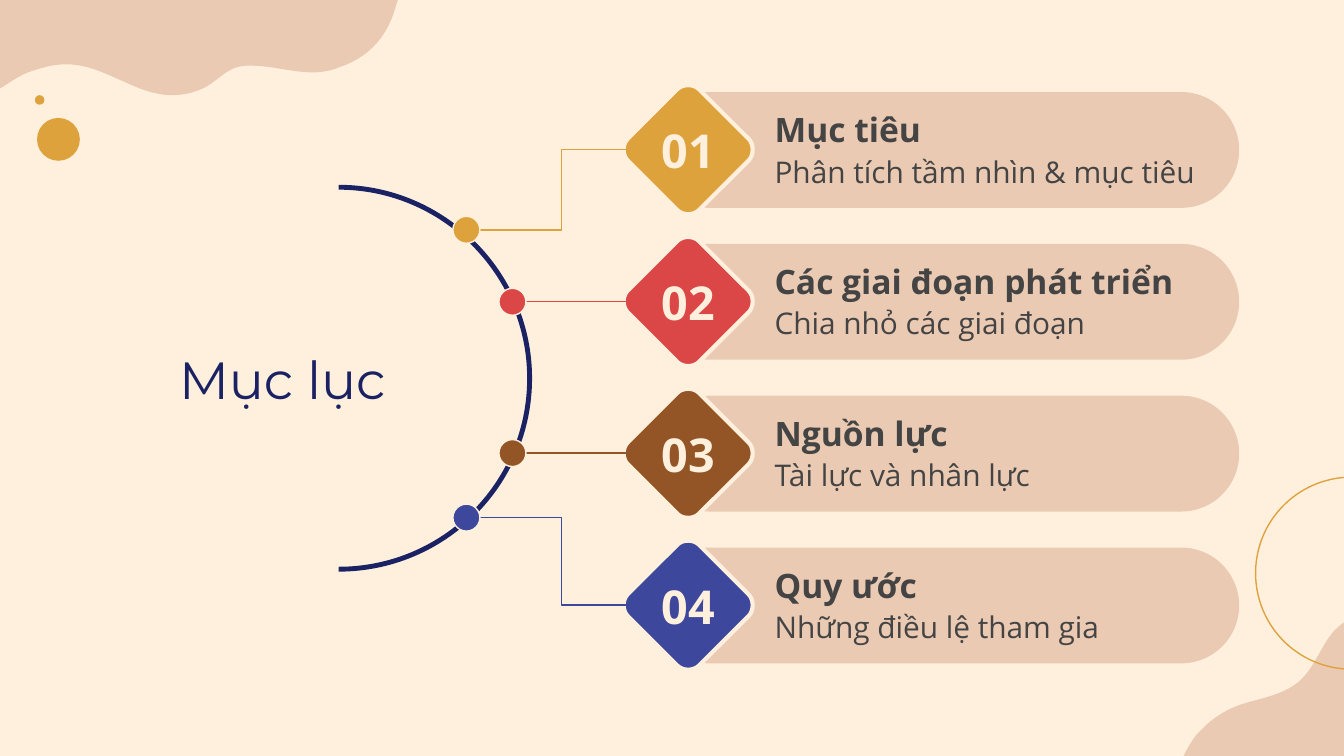
from collections import namedtuple
from dataclasses import dataclass

from lxml import etree
from pptx import Presentation
from pptx.dml.color import RGBColor
from pptx.enum import shapes, text
from pptx.oxml import ns
from pptx.util import Cm, Pt

Box = namedtuple("Box", "x y w h")
Outline = namedtuple("Outline", "w h start segments")


@dataclass(frozen=True)
class Theme:
    """Colours, fonts and type sizes of the deck."""
    cream: str = "FFF0DE"
    sand: str = "EBCAB3"
    gold: str = "DEA23C"
    red: str = "DB4646"
    brown: str = "945526"
    blue: str = "3D489C"
    navy: str = "1A2263"
    grey: str = "444444"
    title_font: str = "Montserrat"
    font: str = "Open Sans"
    title: int = 28
    number: int = 25
    heading: int = 18
    detail: int = 16


THEME = Theme()

TOP_BLOB = Outline(296, 71, (0, 0), [
    (0, 66), (7, 62, 13, 57, 21, 54), (32, 50, 41, 48, 49, 48),
    (68, 48, 82, 57, 104, 66), (112, 69, 120, 71, 128, 71),
    (137, 71, 145, 69, 153, 65), (165, 58, 170, 49, 185, 49),
    (186, 49, 186, 49, 186, 49), (203, 49, 217, 54, 233, 54),
    (239, 54, 246, 53, 253, 50), (276, 42, 289, 26, 295, 3),
    (295, 2, 296, 1, 296, 0)])
BOTTOM_BLOB = Outline(170, 164, (23, 88), [
    (24, 87, 25, 86, 26, 85), (34, 76, 45, 69, 57, 65),
    (69, 61, 83, 59, 94, 52), (108, 44, 113, 28, 122, 15),
    (127, 8, 135, 1, 144, 0), (163, -2, 170, 16, 170, 32),
    (170, 51, 161, 69, 152, 86), (144, 101, 133, 115, 121, 126),
    (103, 142, 81, 158, 58, 164), (41, 169, 21, 163, 12, 148),
    (1, 129, 11, 104, 23, 88)])
DIAMOND = Outline(98, 96, (49, 0), [
    (46, 0, 43, 1, 41, 3), (4, 40), (0, 44, 0, 52, 4, 56), (41, 93),
    (43, 95, 46, 96, 49, 96), (52, 96, 55, 95, 57, 93), (94, 56),
    (98, 52, 98, 44, 94, 40), (57, 3), (55, 1, 52, 0, 49, 0)])
HALF_RING = Outline(142, 284, (0, 0), [
    (78, 0, 142, 64, 142, 142), (142, 221, 78, 284, 0, 284)])

ITEMS = [
    ("Mục tiêu", "Phân tích tầm nhìn & mục tiêu", THEME.gold, Box(8.56, 4.09, 0.51, 0.51)),
    ("Các giai đoạn phát triển", "Chia nhỏ các giai đoạn", THEME.red, Box(9.43, 5.45, 0.51, 0.51)),
    ("Nguồn lực", "Tài lực và nhân lực", THEME.brown, Box(9.43, 8.31, 0.51, 0.51)),
    ("Quy ước", "Những điều lệ tham gia", THEME.blue, Box(8.56, 9.53, 0.51, 0.51)),
]


def paint(sp, fill=None, line=None, width=0.75):
    """Give a shape its fill and line, or none, and no shadow."""
    sp.shadow.inherit = False
    if fill:
        sp.fill.solid()
        sp.fill.fore_color.rgb = RGBColor.from_string(fill)
    else:
        sp.fill.background()
    if line:
        sp.line.color.rgb = RGBColor.from_string(line)
        sp.line.width = Pt(width)
    else:
        sp.line.fill.background()


def add_preset(s, kind, box, **style):
    """Add a painted preset shape in the box."""
    sp = s.shapes.add_shape(kind, *map(Cm, box))
    paint(sp, **style)
    return sp


def add_outline(s, outline, box, closed=True, **style):
    """Add a freeform of lines and cubic curves scaled to the box."""
    def place(x, y):
        """Turn outline units into slide lengths."""
        return Cm(box.x + x * box.w / outline.w), Cm(box.y + y * box.h / outline.h)

    builder = s.shapes.build_freeform(*place(*outline.start))
    builder.add_line_segments([place(*seg[-2:]) for seg in outline.segments], close=closed)
    sp = builder.convert_to_shape()
    lines = list(sp._element.iter(ns.qn("a:lnTo")))
    for line, seg in zip(lines, outline.segments):
        if len(seg) == 2:
            continue
        curve = etree.Element(ns.qn("a:cubicBezTo"))
        for x, y in (place(*seg[i:i + 2]) for i in (0, 2, 4)):
            etree.SubElement(curve, ns.qn("a:pt"), x=str(x - sp.left), y=str(y - sp.top))
        line.getparent().replace(line, curve)
    paint(sp, **style)


def write(sp, words, size, color, font, bold=False, align=text.PP_ALIGN.LEFT):
    """Set one line of formatted, vertically centred text."""
    tf = sp.text_frame
    tf.text = words
    tf.word_wrap = True
    tf.auto_size = text.MSO_AUTO_SIZE.NONE
    tf.vertical_anchor = text.MSO_ANCHOR.MIDDLE
    tf.margin_left = tf.margin_right = tf.margin_top = tf.margin_bottom = Cm(0.25)
    p = tf.paragraphs[0]
    p.alignment = align
    r = p.runs[0]
    r.font.name, r.font.size, r.font.bold = font, Pt(size), bold
    r.font.color.rgb = RGBColor.from_string(color)


def add_text(s, box, *args, **kwargs):
    """Add a text box holding one line."""
    write(s.shapes.add_textbox(*map(Cm, box)), *args, **kwargs)


def add_link(s, start, end, bend_x, color):
    """Add a connector, bent at bend_x when its ends differ in height."""
    bent = abs(start[1] - end[1]) > 0.1
    kind = shapes.MSO_CONNECTOR.ELBOW if bent else shapes.MSO_CONNECTOR.STRAIGHT
    y = end[1] if bent else start[1]
    c = s.shapes.add_connector(kind, *map(Cm, (*start, end[0], y)))
    c.line.color.rgb = RGBColor.from_string(color)
    c.line.width = Pt(0.75)
    pr = c._element.spPr
    etree.SubElement(pr, ns.qn("a:effectLst"))
    if bent:
        guides = pr.find(ns.qn("a:prstGeom")).get_or_add_avLst()
        share = round((start[0] - bend_x) / (start[0] - end[0]) * 100000)
        etree.SubElement(guides, ns.qn("a:gd"), name="adj1", fmla=f"val {share}")


def add_decor(s, box):
    """Place the blobs and circles in the corners of the slide."""
    oval = shapes.MSO_SHAPE.OVAL
    right, bottom = box.x + box.w, box.y + box.h
    add_outline(s, TOP_BLOB, Box(box.x, box.y, 7.52, 1.8), fill=THEME.sand)
    add_outline(s, BOTTOM_BLOB, Box(right - 3.38, bottom - 2.63, 4.32, 4.17), fill=THEME.sand)
    add_preset(s, oval, Box(box.x + 0.66, box.y + 1.8, 0.18, 0.18), fill=THEME.gold)
    add_preset(s, oval, Box(box.x + 0.7, box.y + 2.23, 0.81, 0.81), fill=THEME.gold)
    add_preset(s, oval, Box(right - 1.67, bottom - 5.27, 3.63, 3.63), line=THEME.gold)


def add_hub(s, box):
    """Place the title and the half ring to its right."""
    sp = s.shapes.title
    sp.left, sp.top, sp.width, sp.height = map(Cm, (box.x, box.y + 2, 7.47, 3.23))
    write(sp, "Mục lục", THEME.title, THEME.navy, THEME.title_font,
          align=text.PP_ALIGN.CENTER)
    add_outline(s, HALF_RING, Box(box.x + box.w - 3.61, box.y, 3.61, box.h),
                closed=False, line=THEME.navy, width=2.61)


def add_item(s, box, number, heading, detail, color, dot):
    """Place one numbered bar in the box and link it to its dot."""
    bar = add_preset(s, shapes.MSO_SHAPE.ROUNDED_RECTANGLE,
                     Box(box.x + 0.56, box.y, box.w - 0.56, box.h), fill=THEME.sand)
    bar.adjustments[0] = 0.5
    add_outline(s, DIAMOND, Box(box.x, box.y - 0.13, 2.49, 2.44),
                fill=color, line=THEME.cream, width=2.25)
    add_link(s, (box.x + 0.13, box.y + box.h / 2 - 0.01),
             (dot.x + dot.w / 2, dot.y + dot.h / 2), box.x - 1.15, color)
    add_preset(s, shapes.MSO_SHAPE.OVAL, dot, fill=color, line=THEME.cream)
    add_text(s, Box(box.x, box.y, 2.49, box.h), f"{number:02}", THEME.number,
             THEME.cream, THEME.font, bold=True, align=text.PP_ALIGN.CENTER)
    add_text(s, Box(box.x + 2.63, box.y + 0.36, 8.46, 0.69), heading, THEME.heading,
             THEME.grey, THEME.font, bold=True)
    add_text(s, Box(box.x + 2.63, box.y + 1.15, 9.47, 0.69), detail, THEME.detail,
             THEME.grey, THEME.font)


def main():
    """Build the contents slide and save it."""
    prs = Presentation()
    page = Box(0, 0, 25.4, 14.29)
    prs.slide_width, prs.slide_height = Cm(page.w), Cm(page.h)
    s = prs.slides.add_slide(prs.slide_layouts[5])
    s.background.fill.solid()
    s.background.fill.fore_color.rgb = RGBColor.from_string(THEME.cream)
    add_decor(s, page)
    add_hub(s, Box(1.6, 3.54, 8.41, 7.22))
    for i, item in enumerate(ITEMS):
        add_item(s, Box(11.76, 1.74 + i * 2.87, 11.66, 2.19), i + 1, *item)
    prs.save("out.pptx")


if __name__ == "__main__":
    main()
